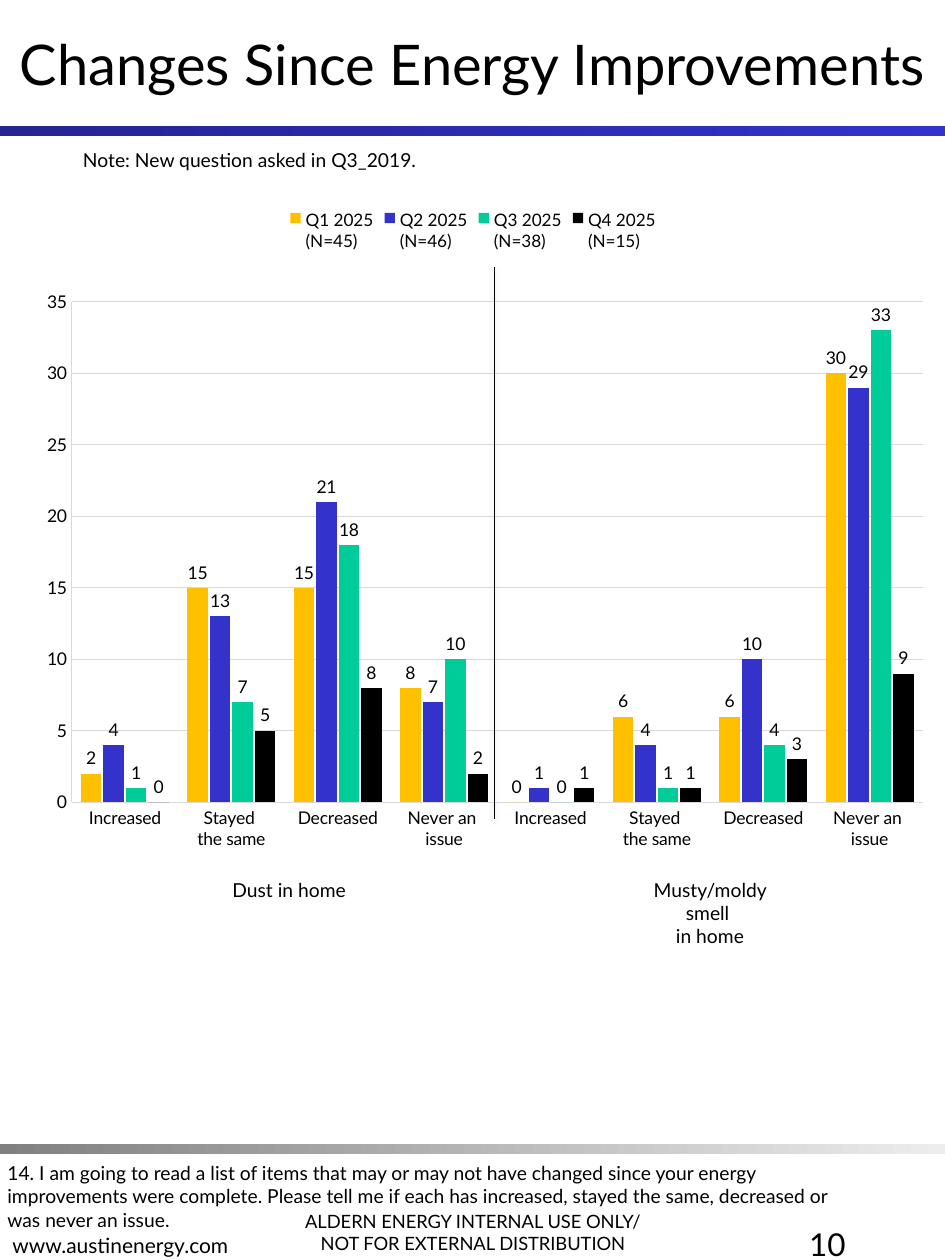
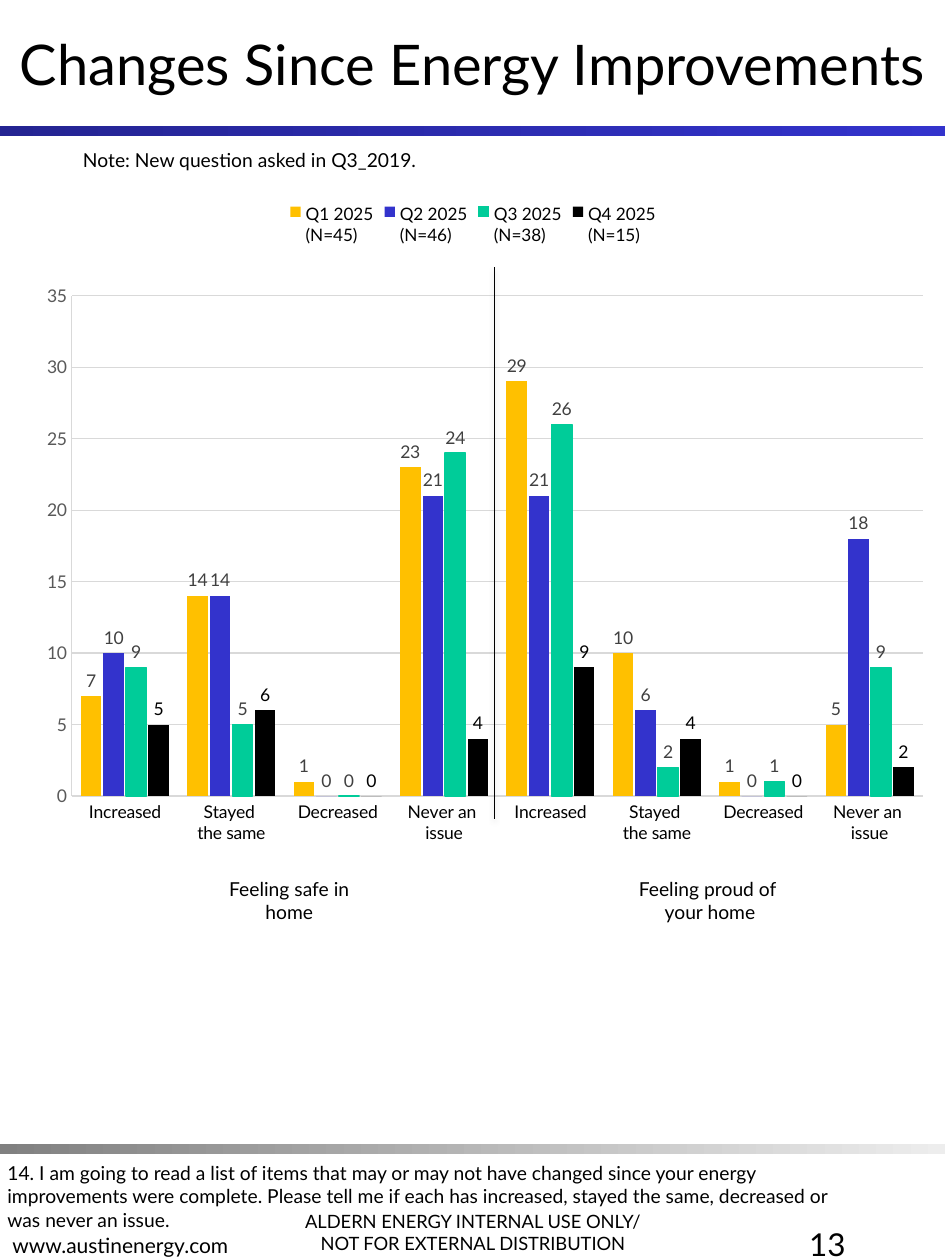
"""Build two survey slides on changes since energy improvements."""
from dataclasses import dataclass
from typing import NamedTuple

import pptx
import pptx.chart.chart
import pptx.chart.data
import pptx.dml.color
import pptx.enum.chart
import pptx.enum.shapes
import pptx.enum.text
import pptx.oxml
import pptx.oxml.ns
import pptx.presentation
import pptx.slide
import pptx.util

RGBColor = pptx.dml.color.RGBColor
BLACK = RGBColor(0x00, 0x00, 0x00)
WHITE = RGBColor(0xFF, 0xFF, 0xFF)
CHARCOAL = RGBColor(0x40, 0x40, 0x40)
SLATE = RGBColor(0x59, 0x59, 0x59)
GRID_GREY = RGBColor(0xD9, 0xD9, 0xD9)
BAND_GREY = RGBColor(0x80, 0x80, 0x80)
PALE_GREY = RGBColor(0xED, 0xED, 0xED)
NAVY = RGBColor(0x24, 0x24, 0x92)
BLUE = RGBColor(0x33, 0x33, 0xCC)
AMBER = RGBColor(0xFF, 0xC0, 0x00)
GREEN = RGBColor(0x00, 0xCC, 0x99)

FONT = "Lato"
WIDTH, HEIGHT = pptx.util.Inches(7.5), pptx.util.Inches(10)
ALIGN = pptx.enum.text.PP_ALIGN
ANCHOR = pptx.enum.text.MSO_ANCHOR


class Box(NamedTuple):
    """Left, top, width and height as percentages of the slide."""
    left: float
    top: float
    width: float
    height: float

    def place(self) -> tuple[int, int, int, int]:
        """Return the box in EMU."""
        return (across(self.left), down(self.top),
                across(self.width), down(self.height))


@dataclass(frozen=True)
class Label:
    """A text box and its style."""
    text: str
    box: Box
    size: float
    align: ALIGN = ALIGN.LEFT
    anchor: ANCHOR = ANCHOR.TOP
    wrap: bool = True
    grow: bool = False


@dataclass(frozen=True)
class Band:
    """A full-width strip with a gradient."""
    top: float
    start: RGBColor
    end: RGBColor


class Quarter(NamedTuple):
    """A chart series shared by the slides."""
    name: str
    color: RGBColor


class Caption(NamedTuple):
    """The question under one half of the chart."""
    text: str
    height: float


@dataclass(frozen=True)
class Survey:
    """What one slide shows."""
    number: int
    values: tuple[tuple[int, ...], ...]
    captions: tuple[Caption, Caption]
    chart_top: float
    caption_top: float
    scale_color: RGBColor
    label_color: RGBColor
    outlined: str = ""


QUARTERS = (
    Quarter("Q1 2025\n(N=45)", AMBER),
    Quarter("Q2 2025\n(N=46)", BLUE),
    Quarter("Q3 2025\n(N=38)", GREEN),
    Quarter("Q4 2025\n(N=15)", BLACK),
)
ANSWERS = ("Increased", "Stayed \nthe same", "Decreased", "Never an \nissue")
CAPTION_LEFTS = (21.07, 65.6)
PLOT = {"x": 0.07, "y": 0.14, "w": 0.91, "h": 0.67}
PLOT = {"x": 0.069, "y": 0.143, "w": 0.914, "h": 0.671}

BANDS = (Band(10, NAVY, BLUE), Band(90.8, BAND_GREY, PALE_GREY))
SHARED_LABELS = (
    Label("ALDERN ENERGY INTERNAL USE ONLY/\nNOT FOR EXTERNAL DISTRIBUTION",
          Box(28.8, 93.3, 42.53, 6.7), 10.5, ALIGN.CENTER, ANCHOR.BOTTOM),
    Label("www.austinenergy.com", Box(0, 93.6, 42.53, 6.7), 12,
          anchor=ANCHOR.BOTTOM),
    Label("Changes Since Energy Improvements", Box(0, 0, 100, 10), 32,
          ALIGN.CENTER, ANCHOR.MIDDLE),
    Label("Note: New question asked in Q3_2019.",
          Box(7.47, 11.3, 85.87, 2.9), 11, grow=True),
    Label("14. I am going to read a list of items that may or may not have "
          "changed since your energy improvements were complete. Please tell "
          "me if each has increased, stayed the same, decreased or was never "
          "an issue.", Box(-0.53, 91.7, 91.33, 6.6), 11, grow=True),
)

SURVEYS = (
    Survey(10,
           ((2, 15, 15, 8, 0, 6, 6, 30), (4, 13, 21, 7, 1, 4, 10, 29),
            (1, 7, 18, 10, 0, 1, 4, 33), (0, 5, 8, 2, 1, 1, 3, 9)),
           (Caption("Dust in home", 2.9),
            Caption("Musty/moldy smell \nin home", 6)),
           15.5, 69.2, BLACK, BLACK),
    Survey(13,
           ((7, 14, 1, 23, 29, 10, 1, 5), (10, 14, 0, 21, 21, 6, 0, 18),
            (9, 5, 0, 24, 26, 2, 1, 9), (5, 6, 0, 4, 9, 4, 0, 2)),
           (Caption("Feeling safe in home", 4.5),
            Caption("Feeling proud of \nyour home", 6)),
           15, 69.1, SLATE, CHARCOAL, "Q3 2025\n(N=38)"),
)


def across(share: float) -> int:
    """Return a percentage of the slide width."""
    return round(WIDTH * share / 100)


def down(share: float) -> int:
    """Return a percentage of the slide height."""
    return round(HEIGHT * share / 100)


def style_font(font: pptx.text.text.Font, size: float, color: RGBColor) -> None:
    """Set typeface, size and colour."""
    font.name, font.size = FONT, pptx.util.Pt(size)
    font.color.rgb = color


def add_label(s: pptx.slide.Slide, label: Label) -> None:
    """Draw a text box."""
    tf = s.shapes.add_textbox(*label.box.place()).text_frame
    tf.word_wrap, tf.vertical_anchor = label.wrap, label.anchor
    if label.grow:
        tf.auto_size = pptx.enum.text.MSO_AUTO_SIZE.SHAPE_TO_FIT_TEXT
    tf.text = label.text
    for p in tf.paragraphs:
        p.alignment = label.align
        for r in p.runs:
            style_font(r.font, label.size, BLACK)


def add_band(s: pptx.slide.Slide, band: Band) -> None:
    """Draw a gradient strip."""
    sp = s.shapes.add_shape(pptx.enum.shapes.MSO_SHAPE.RECTANGLE,
                            *Box(0, band.top, 100, 0.8).place())
    sp.shadow.inherit = False
    sp.line.fill.background()
    sp.fill.gradient()
    sp.fill.gradient_angle = 0
    for stop, color in zip(sp.fill.gradient_stops, (band.start, band.end)):
        stop.color.rgb = color


def set_plot_layout(chart: pptx.chart.chart.Chart) -> None:
    """Fix the inner plot area within the chart."""
    area = chart.element.xpath(".//c:plotArea")[0]
    for layout in area.xpath("c:layout"):
        area.remove(layout)
    modes = "".join(f'<c:{k}Mode val="edge"/>' for k in "xy")
    sizes = "".join(f'<c:{k} val="{v}"/>' for k, v in PLOT.items())
    area.insert(0, pptx.oxml.parse_xml(
        f'<c:layout {pptx.oxml.ns.nsdecls("c")}><c:manualLayout>'
        f'<c:layoutTarget val="inner"/>{modes}{sizes}'
        '</c:manualLayout></c:layout>'))


def style_axes(chart: pptx.chart.chart.Chart, scale_color: RGBColor) -> None:
    """Set the axes and gridlines."""
    tick = pptx.enum.chart.XL_TICK_MARK.NONE
    grid = chart.value_axis.major_gridlines.format.line
    lines = [(grid, 0.62)]
    for axis, color, width in ((chart.category_axis, BLACK, 0.62),
                               (chart.value_axis, scale_color, 0.41)):
        axis.major_tick_mark = axis.minor_tick_mark = tick
        style_font(axis.tick_labels.font, 10, color)
        lines.append((axis.format.line, width))
    for line, width in lines:
        line.color.rgb, line.width = GRID_GREY, pptx.util.Pt(width)
    chart.value_axis.minimum_scale = 0


def add_survey_chart(s: pptx.slide.Slide, survey: Survey) -> None:
    """Draw the clustered columns."""
    data = pptx.chart.data.CategoryChartData()
    data.categories = ANSWERS * 2
    for quarter, values in zip(QUARTERS, survey.values):
        data.add_series(quarter.name, values)
    box = Box(0.8, survey.chart_top, 98.53, 59.2)
    chart = s.shapes.add_chart(
        pptx.enum.chart.XL_CHART_TYPE.COLUMN_CLUSTERED, *box.place(), data).chart
    style_font(chart.font, 10, BLACK)
    chart.has_title = False
    chart.has_legend = True
    chart.legend.position = pptx.enum.chart.XL_LEGEND_POSITION.TOP
    chart.legend.include_in_layout = False
    style_font(chart.legend.font, 9.8, BLACK)
    style_axes(chart, survey.scale_color)
    set_plot_layout(chart)
    plot = chart.plots[0]
    plot.gap_width, plot.overlap, plot.vary_by_categories = 90, -10, False
    for series, quarter in zip(plot.series, QUARTERS):
        series.format.fill.solid()
        series.format.fill.fore_color.rgb = quarter.color
        if quarter.name == survey.outlined:
            series.format.line.color.rgb = quarter.color
            series.format.line.width = pptx.util.Pt(0.75)
        labels = series.data_labels
        labels.show_value = True
        labels.position = pptx.enum.chart.XL_LABEL_POSITION.OUTSIDE_END
        color = BLACK if quarter.color == BLACK else survey.label_color
        style_font(labels.font, 10, color)


def add_divider(s: pptx.slide.Slide) -> None:
    """Draw the line between the halves of the chart."""
    x = across(52.27)
    line = s.shapes.add_connector(pptx.enum.shapes.MSO_CONNECTOR.STRAIGHT,
                                  x, down(21.2), x, down(65))
    line.line.color.rgb, line.line.width = BLACK, pptx.util.Pt(0.25)
    line.element.spPr.append(pptx.oxml.parse_xml(
        f'<a:effectLst {pptx.oxml.ns.nsdecls("a")}>'
        '<a:outerShdw blurRad="40000" dist="20000" dir="5400000" '
        'rotWithShape="0"><a:srgbClr val="000000"><a:alpha val="38000"/>'
        '</a:srgbClr></a:outerShdw></a:effectLst>'))


def add_survey_slide(prs: pptx.presentation.Presentation, survey: Survey) -> None:
    """Add one survey slide."""
    s = prs.slides.add_slide(prs.slide_layouts[6])
    s.background.fill.solid()
    s.background.fill.fore_color.rgb = WHITE
    for band in BANDS:
        add_band(s, band)
    for label in SHARED_LABELS:
        add_label(s, label)
    add_label(s, Label(str(survey.number), Box(70, 96.7, 20.8, 6.7), 18,
                       ALIGN.RIGHT))
    add_survey_chart(s, survey)
    for left, caption in zip(CAPTION_LEFTS, survey.captions):
        box = Box(left, survey.caption_top, 19.07, caption.height)
        add_label(s, Label(caption.text, box, 11, ALIGN.CENTER, wrap=False))
    add_divider(s)


def main() -> None:
    """Build and save the presentation."""
    prs = pptx.Presentation()
    prs.slide_width, prs.slide_height = WIDTH, HEIGHT
    for survey in SURVEYS:
        add_survey_slide(prs, survey)
    prs.save("out.pptx")


if __name__ == "__main__":
    main()
